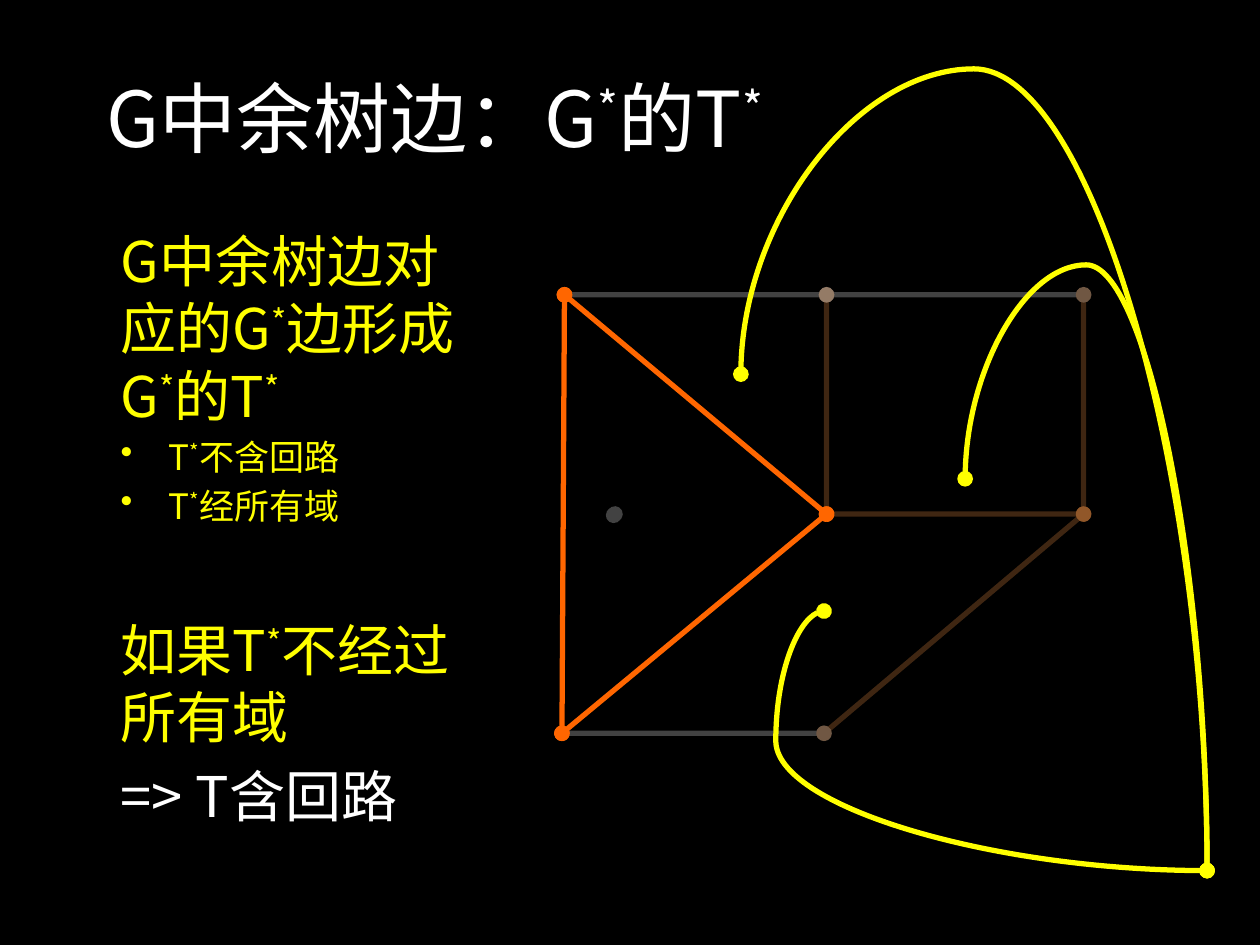
import math

import pptx
import pptx.dml.color
import pptx.enum.shapes
import pptx.enum.text
import pptx.oxml
import pptx.oxml.ns
import pptx.util
from pptx.util import Inches

COLORS = {"background": "000000", "white": "FFFFFF", "dual": "FFFF00",
          "tree": "FF6600", "faded": "F79646"}
FONT = "Noto Sans CJK SC"
VERTICES = {
    "top left": (4.48, 2.34), "top middle": (6.56, 2.34), "top right": (8.6, 2.34),
    "center": (6.56, 4.08), "right": (8.6, 4.08),
    "bottom left": (4.46, 5.82), "bottom middle": (6.54, 5.82),
}
# Each edge: start vertex, end vertex, colour, opacity in percent
EDGES = [
    ("bottom left", "bottom middle", "white", 25),
    ("top left", "top middle", "white", 25),
    ("top middle", "top right", "white", 25),
    ("right", "top right", "faded", 25),
    ("bottom middle", "right", "faded", 25),
    ("center", "right", "faded", 25),
    ("center", "top middle", "faded", 25),
    ("bottom left", "center", "tree", 100),
    ("bottom left", "top left", "tree", 100),
    ("top left", "center", "tree", 100),
]
OUTER_FACE = (9.58, 6.91)
# Each dual edge: start, end, rotation, bend, colour, opacity
DUAL_EDGES = [
    (OUTER_FACE, (7.66, 3.8), 270, 1.546, "dual", 100),
    ((6.54, 4.85), OUTER_FACE, 0, -0.126, "dual", 100),
    ((4.87, 4.09), (4.88, 4.08), 90, 3.859, "white", 25),
    (OUTER_FACE, (5.88, 2.97), 270, 1.615, "dual", 100),
]
# Each paragraph: text, format
CLAIMS = [
    ("G中余树边对应的G*边形成G*的T*", {"size": 32}),
    ("T*不含回路", {"size": 20, "before": 4, "bullet": True}),
    ("T*经所有域", {"size": 20, "before": 4, "bullet": True}),
    ("如果T*不经过所有域", {"size": 32, "before": 51}),
    ("=> T含回路", {"size": 32, "before": 6.4, "color": "white"}),
]


def rgb(name):
    return pptx.dml.color.RGBColor.from_string(COLORS[name])


def add_xml(parent, tag, **attributes):
    child = pptx.oxml.parse_xml(f"<a:{tag} {pptx.oxml.ns.nsdecls('a')}/>")
    for key, value in attributes.items():
        child.set(key, str(value))
    parent.append(child)
    return child


def write(paragraph, text, size=32, color="dual", before=0, bullet=False, align=None):
    """Fill a paragraph, raising every asterisk to a superscript."""
    paragraph.space_before = pptx.util.Pt(before)
    paragraph.alignment = align
    if bullet:
        properties = paragraph._p.get_or_add_pPr()
        properties.set("marL", str(Inches(0.38)))
        properties.set("indent", str(-Inches(0.38)))
        add_xml(properties, "buChar", char="•")
    for part in text.replace("*", "|*|").split("|"):
        if not part:
            continue
        run = paragraph.add_run()
        run.text = part
        run.font.size = pptx.util.Pt(size)
        run.font.name = FONT
        run.font.color.rgb = rgb(color)
        run_properties = run.font._element
        add_xml(run_properties, "ea", typeface=FONT)
        if part == "*":
            run_properties.set("baseline", "30000")


class GraphSlide:
    """Holds the line style and the current slide."""

    def __init__(self, presentation, line_width=3):
        self.line_width = pptx.util.Pt(line_width)
        self.slide = presentation.slides.add_slide(presentation.slide_layouts[5])
        self.slide.background.fill.solid()
        self.slide.background.fill.fore_color.rgb = rgb("background")

    def title(self, text, left, top, width, height):
        title = self.slide.shapes.title
        title.left, title.top = Inches(left), Inches(top)
        title.width, title.height = Inches(width), Inches(height)
        frame = title.text_frame
        frame.auto_size = pptx.enum.text.MSO_AUTO_SIZE.NONE
        frame.vertical_anchor = pptx.enum.text.MSO_ANCHOR.MIDDLE
        write(frame.paragraphs[0], text, size=44, color="white",
              align=pptx.enum.text.PP_ALIGN.CENTER)

    def text(self, paragraphs, left, top, width, height):
        box = self.slide.shapes.add_textbox(
            Inches(left), Inches(top), Inches(width), Inches(height))
        frame = box.text_frame
        frame.word_wrap = True
        for index, (text, style) in enumerate(paragraphs):
            paragraph = frame.add_paragraph() if index else frame.paragraphs[0]
            write(paragraph, text, **style)

    def edge(self, start, end, color, opacity, kind="STRAIGHT"):
        """Draw a line with a round vertex at both ends."""
        edge = self.slide.shapes.add_connector(
            pptx.enum.shapes.MSO_CONNECTOR[kind], *map(Inches, (*start, *end)))
        edge.line.width = self.line_width
        edge.line.color.rgb = rgb(color)
        line = edge.line._ln
        if opacity < 100:
            hue = line.find(".//" + pptx.oxml.ns.qn("a:srgbClr"))
            add_xml(hue, "alpha", val=opacity * 1000)
        for tag in ("headEnd", "tailEnd"):
            add_xml(line, tag, type="oval")
        add_xml(edge._element.spPr, "effectLst")
        return edge

    def curve(self, start, end, rotation, bend, color, opacity):
        """Draw a curved edge whose frame is turned by rotation degrees."""
        center_x, center_y = (start[0] + end[0]) / 2, (start[1] + end[1]) / 2
        cos = round(math.cos(math.radians(rotation)))
        sin = round(math.sin(math.radians(rotation)))

        def unturned(point):
            x, y = point[0] - center_x, point[1] - center_y
            return center_x + x * cos + y * sin, center_y - x * sin + y * cos

        edge = self.edge(unturned(start), unturned(end), color, opacity, "CURVE")
        properties = edge._element.spPr
        properties.xfrm.set("rot", str(rotation * 60000))
        guides = properties.find(".//" + pptx.oxml.ns.qn("a:avLst"))
        add_xml(guides, "gd", name="adj1", fmla=f"val {round(bend * 100000)}")


def main():
    presentation = pptx.Presentation()
    presentation.slide_width, presentation.slide_height = Inches(10), Inches(7.5)
    graph = GraphSlide(presentation)
    graph.title("G中余树边：G*的T*", 0.5, 0.3, 5.9, 1.25)
    graph.text(CLAIMS, 0.86, 1.75, 2.91, 5.36)
    for start, end, color, opacity in EDGES:
        graph.edge(VERTICES[start], VERTICES[end], color, opacity)
    for dual_edge in DUAL_EDGES:
        graph.curve(*dual_edge)
    presentation.save("out.pptx")


if __name__ == "__main__":
    main()
